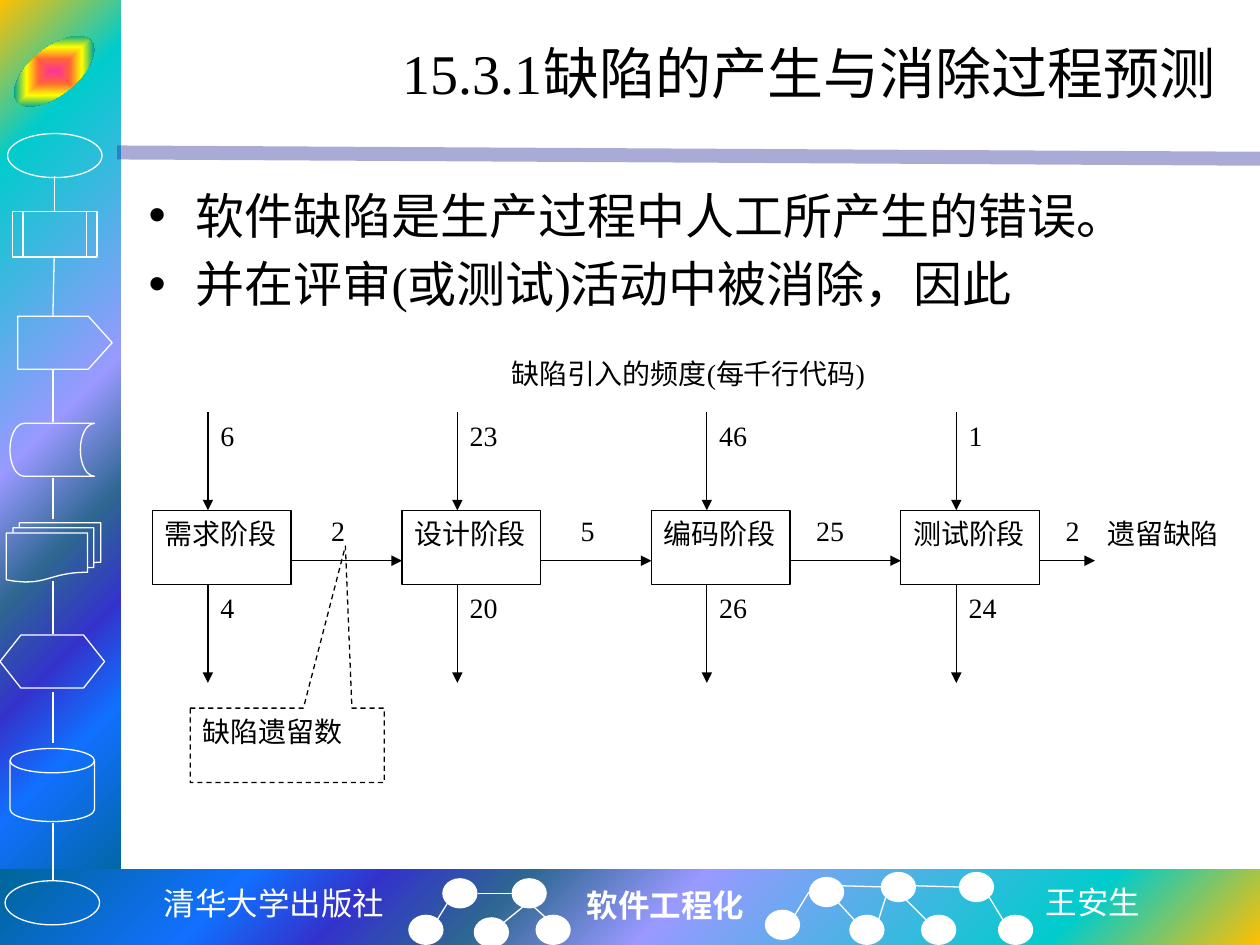
"""Build the slide on predicting how software defects arise and are removed."""
import pptx
import pptx.dml.color
import pptx.enum.dml
import pptx.enum.shapes
import pptx.enum.text
import pptx.oxml
import pptx.oxml.ns
import pptx.util

Inches, Pt = pptx.util.Inches, pptx.util.Pt
SHAPE = pptx.enum.shapes.MSO_SHAPE
ALIGN = pptx.enum.text.PP_ALIGN
DRAWING = pptx.oxml.ns.nsdecls("a")
SERIF, CJK, MONO = "Times New Roman", "Noto Sans CJK SC", "Noto Sans Mono"
BLACK, WHITE = "000000", "FFFFFF"

TITLE = "15.3.1缺陷的产生与消除过程预测"
POINTS = ["软件缺陷是生产过程中人工所产生的错误。", "并在评审(或测试)活动中被消除，因此"]
CAPTION = "缺陷引入的频度(每千行代码)"
STAGES = [
    ("需求阶段", "6", "4", "2"),
    ("设计阶段", "23", "20", "5"),
    ("编码阶段", "46", "26", "25"),
    ("测试阶段", "1", "24", "2"),
]
REMAINING, CALLOUT = "遗留缺陷", "缺陷遗留数"
FOOTERS = [
    ("清华大学出版社", 1.19, 6.97, 1.97, MONO, False, ALIGN.CENTER),
    ("软件工程化", 4.56, 6.98, 1.46, SERIF, True, ALIGN.LEFT),
    ("王安生", 8.2, 6.96, 0.96, CJK, False, ALIGN.LEFT),
]
RAINBOW = [(0, "FFC000"), (16, "00CCCC"), (47, "9999FF"), (60, "2E6792"),
           (71, "3333CC"), (81, "1170FF"), (100, "006699")]
EMBLEM = [(0, "FF3399"), (25, "FF6633"), (50, "FFFF00"), (75, "01A78F"), (100, "3366FF")]
SYMBOLS = [
    (SHAPE.OVAL, 0.06, 1.06, 0.75, 0.35),
    (SHAPE.FLOWCHART_PREDEFINED_PROCESS, 0.1, 1.68, 0.67, 0.36),
    (SHAPE.PENTAGON, 0.14, 2.51, 0.75, 0.42),
    (SHAPE.FLOWCHART_STORED_DATA, 0.08, 3.36, 0.67, 0.42),
    (SHAPE.FLOWCHART_MULTIDOCUMENT, 0.05, 4.15, 0.75, 0.47),
    (SHAPE.FLOWCHART_PREPARATION, 0, 5.04, 0.83, 0.42),
    (SHAPE.FLOWCHART_MAGNETIC_DISK, 0.08, 5.94, 0.67, 0.58),
    (SHAPE.OVAL, 0.04, 6.99, 0.75, 0.35),
]
SYMBOL_LINKS = [
    (0.43, 1.4, 0.43, 1.68), (0.43, 2.05, 0.42, 2.51), (0.42, 2.93, 0.42, 3.35),
    (0.42, 3.79, 0.42, 4.12), (0.42, 4.61, 0.42, 5.03), (0.42, 5.49, 0.42, 5.9),
    (0.42, 6.53, 0.42, 6.99),
]
NODES = [
    (3.51, 6.97), (3.24, 7.26), (4.06, 6.97), (3.76, 7.28), (4.25, 7.26),
    (6.07, 7.22), (6.42, 6.96), (6.74, 7.26), (6.99, 6.92), (7.31, 7.26),
    (7.61, 6.92), (7.92, 7.26),
]
NODE_LINKS = [
    (3.47, 7.3, 3.55, 7.17), (4, 7.32, 4.16, 7.19), (4.06, 7.09, 3.79, 7.09),
    (4.34, 7.29, 4.24, 7.2), (6.31, 7.26, 6.42, 7.08), (6.78, 7.3, 6.65, 7.16),
    (6.68, 7.03, 7.03, 7.04), (6.97, 7.31, 7.03, 7.12), (7.35, 7.3, 7.15, 7.1),
    (7.26, 7.03, 7.61, 7.04), (7.96, 7.3, 7.85, 7.12),
]
LEFT, PITCH, BOX_WIDTH, BOX_HEIGHT = 1.21, 1.98, 1.1, 0.59
INFLOW_TOP, BOX_TOP, FLOW_TOP, ARROW_LENGTH = 3.27, 4.05, 4.45, 0.78
BOX_BOTTOM, GAP = BOX_TOP + BOX_HEIGHT, PITCH - BOX_WIDTH


def color(value):
    return pptx.dml.color.RGBColor.from_string(value)


def style(paragraph, size, value=BLACK, font=SERIF, bold=False, align=None):
    paragraph.alignment = align
    for span in paragraph.runs:
        span.font.size, span.font.name, span.font.bold = Pt(size), font, bold
        span.font.color.rgb = color(value)
        east = pptx.oxml.parse_xml(f'<a:ea {DRAWING} typeface="{CJK}"/>')
        span.font._element.find(pptx.oxml.ns.qn("a:latin")).addnext(east)


def write(box, text, size=16, align=ALIGN.JUSTIFY, wrap=True, **look):
    frame = box.text_frame
    frame.text = text
    frame.word_wrap = wrap
    frame.vertical_anchor = pptx.enum.text.MSO_ANCHOR.TOP
    style(frame.paragraphs[0], size, align=align, **look)


def add_label(page, text, left, top, width, height=BOX_HEIGHT, **look):
    box = page.shapes.add_textbox(Inches(left), Inches(top), Inches(width), Inches(height))
    write(box, text, **look)


def add_shape(page, kind, left, top, width, height, line=None, fill=None):
    shape = page.shapes.add_shape(kind, Inches(left), Inches(top), Inches(width), Inches(height))
    shape.shadow.inherit = False
    if fill:
        shape.fill.solid()
        shape.fill.fore_color.rgb = color(fill)
    else:
        shape.fill.background()
    if line:
        shape.line.color.rgb = color(line)
        shape.line.width = Pt(0.75)
    else:
        shape.line.fill.background()
    return shape


def fill_gradient(shape, stops, kind, focus):
    marks = "".join(f'<a:gs pos="{place * 1000}"><a:srgbClr val="{value}"/></a:gs>'
                    for place, value in stops)
    edges = " ".join(f'{side}="{share * 1000}"' for side, share in zip("ltrb", focus))
    gradient = pptx.oxml.parse_xml(
        f'<a:gradFill {DRAWING} rotWithShape="1"><a:gsLst>{marks}</a:gsLst>'
        f'<a:path path="{kind}"><a:fillToRect {edges}/></a:path></a:gradFill>')
    blank = shape._element.spPr.find(pptx.oxml.ns.qn("a:noFill"))
    blank.getparent().replace(blank, gradient)


def add_line(page, x1, y1, x2, y2, value=WHITE, width=0.75, arrow=False):
    line = page.shapes.add_connector(pptx.enum.shapes.MSO_CONNECTOR.STRAIGHT,
                                     Inches(x1), Inches(y1), Inches(x2), Inches(y2))
    line.line.color.rgb = color(value)
    line.line.width = Pt(width)
    if arrow:
        line.line._get_or_add_ln().append(
            pptx.oxml.parse_xml(f'<a:tailEnd {DRAWING} type="triangle"/>'))
    line._element.spPr.append(pptx.oxml.parse_xml(f'<a:effectLst {DRAWING}/>'))
    return line


def add_frame(page):
    sidebar = add_shape(page, SHAPE.RECTANGLE, 0, 0, 0.96, 7.09)
    fill_gradient(sidebar, RAINBOW, "circle", (0, 0, 100, 100))
    band = add_shape(page, SHAPE.RECTANGLE, 0, 6.9, 10, 0.6)
    fill_gradient(band, RAINBOW, "circle", (100, 100, 0, 0))
    rule = add_line(page, 0.93, 1.21, 10, 1.26, "262699", 8)
    rule.line._get_or_add_ln().find(".//" + pptx.oxml.ns.qn("a:srgbClr")).append(
        pptx.oxml.parse_xml(f'<a:alpha {DRAWING} val="39000"/>'))
    emblem = add_shape(page, SHAPE.OVAL, 0.05, 0.38, 0.76, 0.37)
    fill_gradient(emblem, EMBLEM, "rect", (50, 50, 50, 50))
    emblem.rotation = -39
    for kind, *place in SYMBOLS:
        symbol = add_shape(page, kind, *place, line=WHITE)
        if kind == SHAPE.PENTAGON:
            symbol.adjustments[0] = 0.45
    for left, top in NODES:
        add_shape(page, SHAPE.OVAL, left, top, 0.28, 0.24, fill=WHITE)
    for ends in SYMBOL_LINKS + NODE_LINKS:
        add_line(page, *ends)
    for text, left, top, width, font, bold, align in FOOTERS:
        add_label(page, text, left, top, width, 0.4, size=18, value=WHITE,
                  font=font, bold=bold, align=align, wrap=False)


def add_text(page):
    title, body = page.shapes.title, page.placeholders[1]
    for box, place in ((title, (1.25, 0.17, 8.5, 0.81)), (body, (1.08, 1.42, 8.75, 1.31))):
        box.left, box.top, box.width, box.height = map(Inches, place)
        box.text_frame.auto_size = pptx.enum.text.MSO_AUTO_SIZE.NONE
    title.text_frame.text = TITLE
    style(title.text_frame.paragraphs[0], 32, align=ALIGN.RIGHT)
    body.text_frame.text = "\n".join(POINTS)
    for paragraph in body.text_frame.paragraphs:
        style(paragraph, 28)
    body.text_frame.paragraphs[0].space_before = Pt(0)


def add_flow(page):
    for index, (name, added, removed, passed) in enumerate(STAGES):
        left = LEFT + index * PITCH
        right, stem = left + BOX_WIDTH, left + 0.44
        last = index == len(STAGES) - 1
        box = add_shape(page, SHAPE.RECTANGLE, left, BOX_TOP, BOX_WIDTH, BOX_HEIGHT, BLACK)
        write(box, name)
        for top, count in ((INFLOW_TOP, added), (BOX_BOTTOM, removed)):
            add_line(page, stem, top, stem, top + ARROW_LENGTH, BLACK, arrow=True)
            add_label(page, count, stem, top, 0.66)
        reach = GAP / 2 if last else GAP
        add_line(page, right, FLOW_TOP, right + reach, FLOW_TOP, BLACK, arrow=True)
        width = 0.66 if last or len(passed) > 1 else 0.44
        add_label(page, passed, right + (GAP - width) / 2, 4.03, width)
    add_label(page, REMAINING, 8.69, BOX_TOP, BOX_WIDTH)
    add_label(page, CAPTION, 3.96, 2.78, 3.3)
    callout = add_shape(page, SHAPE.RECTANGULAR_CALLOUT, 1.51, 5.62, 1.54, BOX_HEIGHT, BLACK)
    callout.adjustments[0], callout.adjustments[1] = 0.3, -2.68
    callout.line.dash_style = pptx.enum.dml.MSO_LINE.DASH
    write(callout, CALLOUT)


def main():
    deck = pptx.Presentation()
    deck.slide_width, deck.slide_height = Inches(10), Inches(7.5)
    page = deck.slides.add_slide(deck.slide_layouts[1])
    add_frame(page)
    add_text(page)
    add_flow(page)
    deck.save("out.pptx")


if __name__ == "__main__":
    main()
